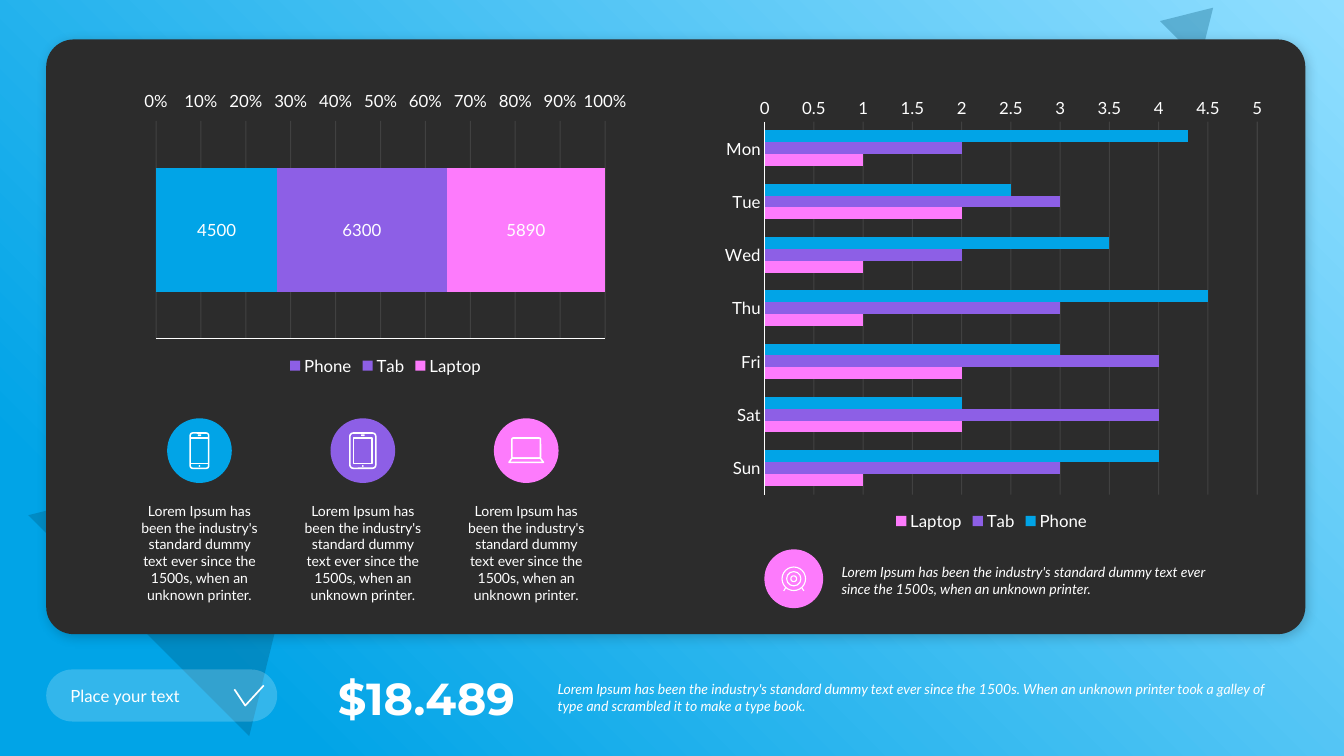
from collections import namedtuple
from dataclasses import dataclass

from lxml import etree
from pptx import Presentation
from pptx.chart.data import CategoryChartData
from pptx.dml.color import RGBColor
from pptx.enum.chart import XL_CHART_TYPE, XL_LEGEND_POSITION, XL_TICK_LABEL_POSITION, XL_TICK_MARK
from pptx.enum.shapes import MSO_CONNECTOR, MSO_SHAPE
from pptx.enum.text import MSO_ANCHOR, PP_ALIGN
from pptx.oxml.ns import qn
from pptx.util import Inches, Pt

RECT, ROUND, OVAL = MSO_SHAPE.RECTANGLE, MSO_SHAPE.ROUNDED_RECTANGLE, MSO_SHAPE.OVAL
WEDGE, BASE = MSO_SHAPE.ISOSCELES_TRIANGLE, MSO_SHAPE.TRAPEZOID
LEFT, CENTER, RIGHT = PP_ALIGN.LEFT, PP_ALIGN.CENTER, PP_ALIGN.RIGHT
TOP, MIDDLE = MSO_ANCHOR.TOP, MSO_ANCHOR.MIDDLE
STACK, GROUP = XL_CHART_TYPE.BAR_STACKED_100, XL_CHART_TYPE.BAR_CLUSTERED
BOTTOM, HIGH, NO_TICK = XL_LEGEND_POSITION.BOTTOM, XL_TICK_LABEL_POSITION.HIGH, XL_TICK_MARK.NONE

# The slide is a grid of 160 columns by 90 rows of square cells
CELL = Inches(1 / 12)
COLS, ROWS = 160, 90


@dataclass(frozen=True)
class Theme:
    dark: str = "2C2C2C"
    white: str = "FFFFFF"
    blue: str = "01A4E7"
    sky: str = "90DEFF"
    deep: str = "005274"
    violet: str = "8D5FE6"
    pink: str = "FD7BFC"
    font: str = "Lato"
    bold: str = "Montserrat"
    small: int = 10
    text: int = 12
    price: int = 32


T = Theme()
LOREM = "Lorem Ipsum has been the industry's standard dummy text ever since the 1500s"
SHORT = LOREM + ", when an unknown printer."
LONG = LOREM + (". When an unknown printer took a galley of type and scrambled it"
                " to make a type book.")


class Box(namedtuple("Box", "x y w h")):
    def sub(self, x, y, w, h):
        return Box(self.x + x, self.y + y, w, h)

    def mid(self, w, h, down=0):
        return self.sub((self.w - w) / 2, (self.h - h) / 2 + down, w, h)

    def emu(self):
        return [round(v * CELL) for v in self]


def rgb(code):
    return RGBColor.from_string(code)


def fade(node, share):
    color = next(node.iter(qn("a:srgbClr")))
    etree.SubElement(color, qn("a:alpha"), val=str(share * 1000))


def shape(slide, kind, box, fill=None, line=None, curve=None, alpha=None):
    item = slide.shapes.add_shape(kind, *box.emu())
    item.shadow.inherit = False
    if curve is not None:
        item.adjustments[0] = curve
    paint(item, fill, line)
    if alpha:
        fade(item.element.spPr, alpha)
    return item


def paint(item, fill, line):
    if fill:
        item.fill.solid()
        item.fill.fore_color.rgb = rgb(fill)
    else:
        item.fill.background()
    if line:
        item.line.color.rgb = rgb(T.white)
        item.line.width = Pt(line)
    else:
        item.line.fill.background()


def label(slide, box, text, size=T.small, align=LEFT, anchor=MIDDLE, after=0,
          face=T.font, bold=False, slant=False):
    frame = slide.shapes.add_textbox(*box.emu()).text_frame
    frame.word_wrap, frame.vertical_anchor = True, anchor
    para = frame.paragraphs[0]
    para.text, para.alignment, para.space_after = text, align, Pt(after)
    font = para.font
    font.name, font.size, font.bold, font.italic = face, Pt(size), bold, slant
    font.color.rgb = rgb(T.white)


# Icons, each centred in its disc
def gadget(slide, box, width, inner, tall):
    shape(slide, ROUND, box.mid(width, 4.2), line=1.1, curve=0.13)
    shape(slide, RECT, box.mid(inner, tall), line=1)
    shape(slide, OVAL, box.mid(0.2, 0.2, 1.83), T.white)
    shape(slide, ROUND, box.mid(0.4, 0.2, -1.83), T.white)


def phone(slide, box):
    gadget(slide, box, 2.2, 2.2, 3)


def tablet(slide, box):
    gadget(slide, box, 3.1, 2.2, 3)


def laptop(slide, box):
    shape(slide, ROUND, box.mid(3.4, 2.4, -0.3), line=1.1, curve=0.06)
    shape(slide, BASE, box.mid(4.1, 0.5, 1.15), line=1.1, curve=0.7)


def target(slide, box):
    for size in (2.8, 1.7, 0.7):
        shape(slide, OVAL, box.mid(size, size), line=0.8)
    x, y = box.x + box.w / 2, box.y + box.h / 2
    for side in (-1, 1):
        ends = Box(x + side * 0.95, y + 1.05, x + side * 1.2, y + 1.45).emu()
        foot = slide.shapes.add_connector(MSO_CONNECTOR.STRAIGHT, *ends)
        foot.line.color.rgb, foot.line.width = rgb(T.white), Pt(0.8)
        etree.SubElement(foot.element.spPr, qn("a:effectLst"))


# Charts
def graph(slide, box, kind, names, rows, colors, gap, area):
    data = CategoryChartData()
    data.categories = names
    for name, vals in rows:
        data.add_series(name, vals)
    chart = slide.shapes.add_chart(kind, *box.emu(), data).chart
    chart.has_title = False
    chart.font.name, chart.font.size = T.font, Pt(T.text)
    chart.font.color.rgb = rgb(T.white)
    chart.has_legend = True
    chart.legend.position, chart.legend.include_in_layout = BOTTOM, False
    plot = chart.plots[0]
    plot.gap_width, plot.vary_by_categories = gap, False
    for row, color in zip(plot.series, colors):
        row.format.fill.solid()
        row.format.fill.fore_color.rgb = rgb(color)
    axis = chart.value_axis
    axis.major_tick_mark = axis.minor_tick_mark = NO_TICK
    axis.has_major_gridlines = True
    grid = axis.major_gridlines.format.line
    grid.color.rgb, grid.width = rgb(T.white), Pt(0.75)
    fade(next(chart.element.iter(qn("c:majorGridlines"))), 10)
    # Inner plot area as shares of the chart
    zone = next(chart.element.iter(qn("c:plotArea")))
    for old in zone.findall(qn("c:layout")):
        zone.remove(old)
    layout = etree.Element(qn("c:layout"))
    zone.insert(0, layout)
    manual = etree.SubElement(layout, qn("c:manualLayout"))
    parts = [("layoutTarget", "inner"), ("xMode", "edge"), ("yMode", "edge"), *zip("xywh", area)]
    for tag, val in parts:
        etree.SubElement(manual, qn("c:" + tag), val=str(val))
    return chart


def share(slide, box):
    rows = [("Phone", [4500]), ("Tab", [6300]), ("Laptop", [5890])]
    chart = graph(slide, box, STACK, ["1"], rows, (T.violet, T.violet, T.pink),
                  75, (0.04, 0.12, 0.9, 0.74))
    plot, axis = chart.plots[0], chart.value_axis
    plot.overlap = 100
    point = plot.series[0].points[0].format.fill
    point.solid()
    point.fore_color.rgb = rgb(T.blue)
    plot.has_data_labels = True
    plot.data_labels.show_value = True
    plot.data_labels.font.color.rgb = rgb(T.white)
    chart.category_axis.visible = False
    axis.tick_label_position = HIGH
    axis.tick_labels.number_format = "0%"
    axis.tick_labels.number_format_is_linked = False
    axis.format.line.color.rgb = rgb(T.white)


def week(slide, box):
    days = ["Mon", "Tue", "Wed", "Thu", "Fri", "Sat", "Sun"]
    rows = [("Phone", [4.3, 2.5, 3.5, 4.5, 3, 2, 4]), ("Tab", [2, 3, 2, 3, 4, 4, 3]),
            ("Laptop", [1, 2, 1, 1, 2, 2, 1])]
    chart = graph(slide, box, GROUP, days, rows, (T.blue, T.violet, T.pink),
                  150, (0.09, 0.08, 0.89, 0.83))
    axis = chart.category_axis
    axis.reverse_order, axis.major_tick_mark = True, NO_TICK
    axis.format.line.color.rgb = rgb(T.white)
    chart.value_axis.format.line.fill.background()
    chart.value_axis.maximum_scale, chart.value_axis.major_unit = 5, 0.5


# Regions
def backdrop(slide, box):
    base = shape(slide, RECT, box, T.blue)
    base.fill.gradient()
    for stop, color, at in zip(base.fill.gradient_stops, (T.sky, T.blue), (0, 0.85)):
        stop.color.rgb, stop.position = rgb(color), at
    grad = base.element.spPr.find(qn("a:gradFill"))
    grad.remove(grad.find(qn("a:lin")))
    ring = etree.SubElement(grad, qn("a:path"), path="circle")
    etree.SubElement(ring, qn("a:fillToRect"), l="100000", b="100000")
    for spot in (box.sub(8.8, 48.2, 37.2, 30.8), box.sub(139.1, 0.1, 6.7, 5.6)):
        shape(slide, WEDGE, spot, T.deep, alpha=30).rotation = 45


def panel(slide, box):
    card = shape(slide, ROUND, box, T.dark, curve=0.046)
    glow = etree.SubElement(card.element.spPr.find(qn("a:effectLst")), qn("a:outerShdw"),
                            blurRad=str(Pt(8)), dist=str(Pt(3)), dir="2700000")
    etree.SubElement(glow, qn("a:srgbClr"), val="000000")
    fade(glow, 20)
    share(slide, box.sub(10.7, 5.5, 59.4, 35))
    week(slide, box.sub(79.6, 5.5, 65.9, 53.5))
    icons = (phone, T.blue), (tablet, T.violet), (laptop, T.pink)
    for i, (icon, color) in enumerate(icons):
        device(slide, box.sub(10.1 + 19.45 * i, 45.1, 16.3, 22.7), icon, color)
    disc = box.sub(85.5, 60.7, 7, 7)
    shape(slide, OVAL, disc, T.pink)
    target(slide, disc)
    label(slide, disc.sub(8, 1, 48.8, 5.3), SHORT, slant=True)


def device(slide, box, icon, color):
    disc = box.sub((box.w - 7.7) / 2, 0, 7.7, 7.7)
    shape(slide, OVAL, disc, color)
    icon(slide, disc)
    label(slide, box.sub(0, 9.4, box.w, 13.3), SHORT, align=CENTER, anchor=TOP, after=6)


def footer(slide, box):
    shape(slide, ROUND, box.sub(0, 0.5, 27.5, 6.2), T.white, curve=0.5, alpha=20)
    spot = box.sub(22.4, 2.4, 3.5, 2.4)
    pen = slide.shapes.build_freeform(0, 47, scale=CELL / 100)
    pen.add_line_segments([(130, 240), (350, 0)], close=False)
    left, top = spot.emu()[:2]
    tick = pen.convert_to_shape(left, top)
    tick.shadow.inherit = False
    tick.left, tick.top, tick.width, tick.height = spot.emu()
    paint(tick, None, 1.2)
    label(slide, box.sub(1.7, 1.8, 22.6, 3.6), "Place your text", T.text)
    label(slide, box.sub(32.8, 0, 24.2, 7.7), "$18.489", T.price, RIGHT, face=T.bold, bold=True)
    label(slide, box.sub(59.7, 1.2, 88, 5.3), LONG, after=6, slant=True)


def main():
    deck = Presentation()
    deck.slide_width, deck.slide_height = COLS * CELL, ROWS * CELL
    slide = deck.slides.add_slide(deck.slide_layouts[6])
    backdrop(slide, Box(0, 0, COLS, ROWS))
    panel(slide, Box(5.5, 4.7, 149.9, 70.8))
    footer(slide, Box(5.5, 79.2, 149.9, 7.7))
    deck.save("out.pptx")


if __name__ == "__main__":
    main()
